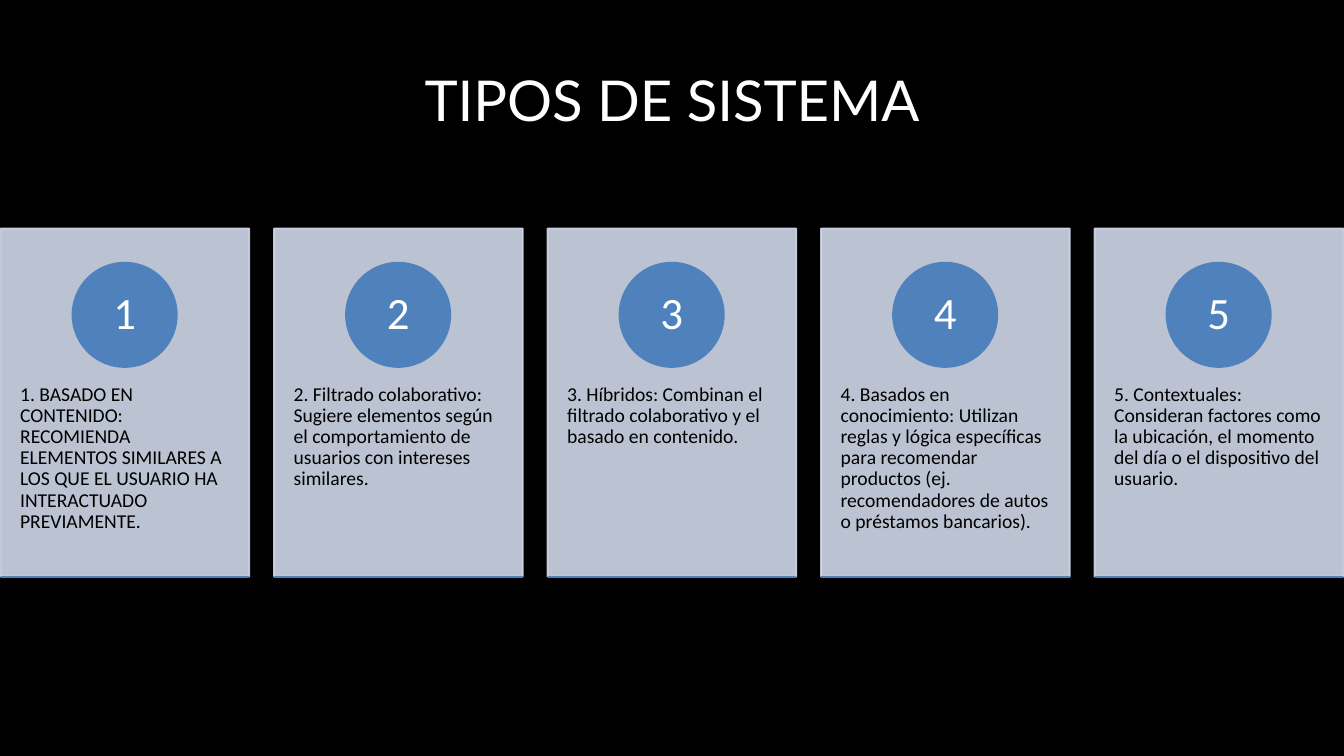
"""Build the slide with five numbered cards on types of system."""
import pptx
import pptx.util
import pptx.dml.color
import pptx.enum.shapes
import pptx.enum.text
import pptx.oxml.ns
import lxml.etree

PX = 9144
STEP = 407
WIDE = 370
DISC = 155
PALE, BLUE, WHITE, BLACK = "D0D8E8", "4F81BD", "FFFFFF", "000000"
qn = pptx.oxml.ns.qn
Shape = pptx.enum.shapes.MSO_SHAPE
Align = pptx.enum.text.PP_ALIGN
Anchor = pptx.enum.text.MSO_ANCHOR


def rgb(code):
    return pptx.dml.color.RGBColor.from_string(code)


def write(shape, text, font, size, color, align, space, side, top, anchor):
    frame = shape.text_frame
    frame.word_wrap = True
    frame.auto_size = pptx.enum.text.MSO_AUTO_SIZE.NONE
    frame.vertical_anchor = anchor
    frame.margin_left = frame.margin_right = side * PX
    frame.margin_top = frame.margin_bottom = top * PX
    frame.text = text
    para = frame.paragraphs[0]
    para.alignment = align
    para.line_spacing = space
    para.font.name = font
    para.font.size = pptx.util.Pt(size)
    para.font.color.rgb = rgb(color)


cards = [
    "1. BASADO EN CONTENIDO: RECOMIENDA ELEMENTOS SIMILARES A LOS QUE EL USUARIO HA INTERACTUADO PREVIAMENTE.",
    "2. Filtrado colaborativo: Sugiere elementos según el comportamiento de usuarios con intereses similares.",
    "3. Híbridos: Combinan el filtrado colaborativo y el basado en contenido.",
    "4. Basados en conocimiento: Utilizan reglas y lógica específicas para recomendar productos "
    "(ej. recomendadores de autos o préstamos bancarios).",
    "5. Contextuales: Consideran factores como la ubicación, el momento del día o el dispositivo del usuario.",
]

deck = pptx.Presentation()
deck.slide_width = 2000 * PX
deck.slide_height = 1125 * PX
slide = deck.slides.add_slide(deck.slide_layouts[5])
slide.background.fill.solid()
slide.background.fill.fore_color.rgb = rgb(BLACK)
shapes = slide.shapes

title = shapes.title
title.left, title.top = 580 * PX, 107 * PX
title.width, title.height = 840 * PX, 105 * PX
write(title, "TIPOS DE SISTEMA", "Lato", 60.3, WHITE, Align.CENTER,
      pptx.util.Pt(65.1), 0, 0, Anchor.TOP)

for i, text in enumerate(cards):
    left = 1 + i * STEP
    card = shapes.add_shape(Shape.RECTANGLE, left * PX, 340 * PX, WIDE * PX, 518 * PX)
    note = shapes.add_textbox(left * PX, 536 * PX, WIDE * PX, 311 * PX)
    disc = shapes.add_shape(Shape.OVAL, (left + 107) * PX, 391 * PX, DISC * PX, DISC * PX)
    for shape, color in ((card, PALE), (disc, BLUE)):
        shape.shadow.inherit = False
        shape.fill.solid()
        shape.fill.fore_color.rgb = rgb(color)
        shape.line.color.rgb = rgb(color)
        shape.line.width = pptx.util.Pt(2)
    for tint in card.element.spPr.iter(qn("a:srgbClr")):
        lxml.etree.SubElement(tint, qn("a:alpha"), val="90000")

    write(note, text, "Calibri", 21, BLACK, Align.LEFT, 0.9, 29, 36, Anchor.TOP)
    write(disc, str(i + 1), "Calibri", 48, WHITE, Align.CENTER, 0.9, 12, 1, Anchor.MIDDLE)

    rule = shapes.add_connector(pptx.enum.shapes.MSO_CONNECTOR.STRAIGHT,
                                left * PX, 858 * PX, (left + WIDE) * PX, 858 * PX)
    rule.line.color.rgb = rgb(BLUE)
    rule.line.width = pptx.util.Pt(2)
    lxml.etree.SubElement(rule.element.spPr, qn("a:effectLst"))

deck.save("out.pptx")
